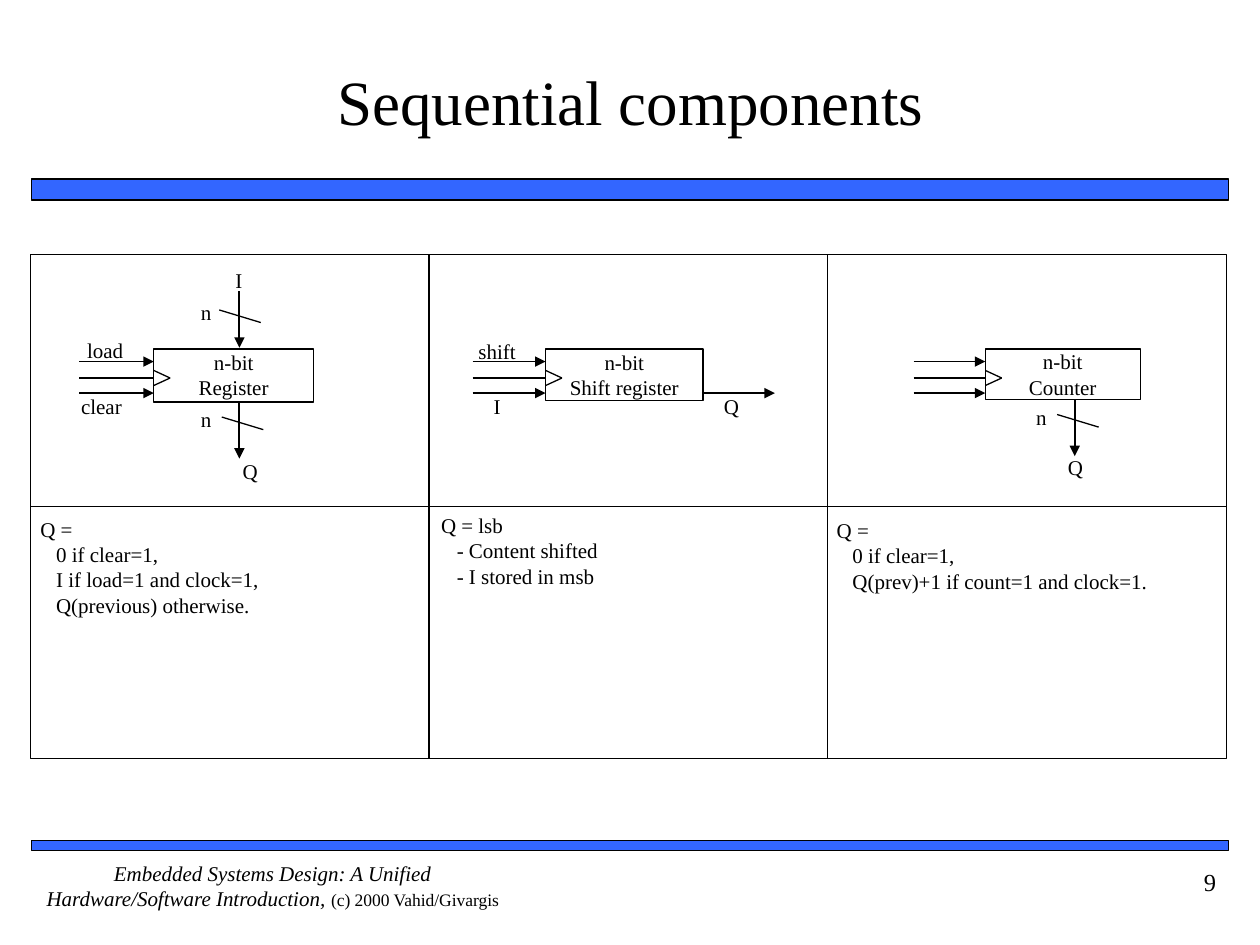
from lxml.etree import SubElement
from pptx import Presentation
from pptx.dml.color import RGBColor
from pptx.enum.shapes import MSO_CONNECTOR, MSO_SHAPE
from pptx.enum.text import MSO_ANCHOR, PP_ALIGN
from pptx.oxml.ns import qn
from pptx.util import Inches, Pt

FONT = "Times New Roman"
BLACK, WHITE, BLUE = "000000", "FFFFFF", "3366FF"

# Content
TITLE = "Sequential components"
FOOTER = [("Embedded Systems Design: A Unified Hardware/Software Introduction, ", 12, True),
          ("(c) 2000 Vahid/Givargis", 10, False)]
PAGE_NUMBER = "9"

# Behaviour of each component: left, top, heading, indented lines
BEHAVIOURS = [
    (0.32, 4.1, "Q =", ["0 if clear=1,", "I if load=1 and clock=1,", "Q(previous) otherwise."]),
    (3.5, 4.07, "Q = lsb", ["- Content shifted", "- I stored in msb"]),
    (6.64, 4.11, "Q =", ["0 if clear=1,", "Q(prev)+1 if count=1 and clock=1."]),
]

# box: left, top, width, height; buses: x, top, slash left, slash top;
# outputs: left, y, length; labels: text, left, top
COMPONENTS = [
    {"name": "Register", "box": (1.22, 2.77, 1.27, 0.42), "input_length": 0.59,
     "buses": [(1.9, 2.31, 1.74, 2.46), (1.9, 3.19, 1.76, 3.31)], "outputs": [],
     "labels": [("load", 0.64, 2.68), ("clear", 0.61, 3.12), ("I", 1.7, 2.12), ("Q", 1.79, 3.64)]},
    {"name": "Shift register", "box": (4.33, 2.77, 1.25, 0.41), "input_length": 0.58,
     "buses": [], "outputs": [(5.57, 3.12, 0.58)],
     "labels": [("shift", 3.75, 2.69), ("I", 3.75, 3.12), ("Q", 5.61, 3.12)]},
    {"name": "Counter", "box": (7.82, 2.77, 1.23, 0.4), "input_length": 0.57,
     "buses": [(8.53, 3.17, 8.39, 3.29)], "outputs": [],
     "labels": [("Q", 8.34, 3.61)]},
]

# Grid of three columns and two rows
GRID_LEFT, GRID_TOP, CELL_WIDTH, CELL_HEIGHT = 0.24, 2.02, 3.165, 2

# Wire positions below the top of a component box
LOAD_WIRE, CLOCK_WIRE, CLEAR_WIRE = 0.1, 0.23, 0.35
NOTCH_WIDTH, NOTCH_HALF = 0.13, 0.06
BUS_LENGTH = 0.45


def color(value):
    return RGBColor.from_string(value)


def add_rectangle(shapes, left, top, width, height, fill=None, line_width=0.75):
    shape = shapes.add_shape(MSO_SHAPE.RECTANGLE, Inches(left), Inches(top),
                             Inches(width), Inches(height))
    shape.shadow.inherit = False
    if fill:
        shape.fill.solid()
        shape.fill.fore_color.rgb = color(fill)
    else:
        shape.fill.background()
    shape.line.color.rgb = color(BLACK)
    shape.line.width = Pt(line_width)
    return shape


def add_line(shapes, start, end, width=0.75, arrow=False):
    x1, y1, x2, y2 = (Inches(value) for value in (*start, *end))
    connector = shapes.add_connector(MSO_CONNECTOR.STRAIGHT, x1, y1, x2, y2)
    connector.line.color.rgb = color(BLACK)
    connector.line.width = Pt(width)
    if arrow:
        SubElement(connector.line._get_or_add_ln(), qn("a:tailEnd"), type="triangle")
    SubElement(connector._element.spPr, qn("a:effectLst"))


def set_text(shape, paragraphs, align=PP_ALIGN.CENTER, anchor=MSO_ANCHOR.TOP, margins=(0, 0)):
    """Each paragraph is a list of runs: text, size, italic."""
    frame = shape.text_frame
    frame.word_wrap = True
    frame.vertical_anchor = anchor
    frame.margin_left = frame.margin_right = Inches(margins[0])
    frame.margin_top = frame.margin_bottom = Inches(margins[1])
    for index, runs in enumerate(paragraphs):
        paragraph = frame.add_paragraph() if index else frame.paragraphs[0]
        paragraph.alignment = align
        for text, size, italic in runs:
            run = paragraph.add_run()
            run.text = text
            run.font.name = FONT
            run.font.size = Pt(size)
            run.font.italic = italic
            run.font.color.rgb = color(BLACK)
    return frame


def add_text(shapes, left, top, width, height, paragraphs, **options):
    box = shapes.add_textbox(Inches(left), Inches(top), Inches(width), Inches(height))
    return set_text(box, paragraphs, **options)


def plain(*lines):
    return [[(line, 12, False)] for line in lines]


def add_component(slide, component):
    shapes = slide.shapes.add_group_shape().shapes
    left, top, width, height = component["box"]
    box = add_rectangle(shapes, left, top, width, height, WHITE)
    set_text(box, plain("n-bit", component["name"]))

    # Input wires and clock notch
    wire_left = left - component["input_length"]
    for offset in (LOAD_WIRE, CLOCK_WIRE, CLEAR_WIRE):
        add_line(shapes, (wire_left, top + offset), (left, top + offset),
                 arrow=offset != CLOCK_WIRE)
    clock = top + CLOCK_WIRE
    for side in (-NOTCH_HALF, NOTCH_HALF):
        add_line(shapes, (left, clock + side), (left + NOTCH_WIDTH, clock))

    # Buses of n bits and single outputs
    for x, bus_top, slash_left, slash_top in component["buses"]:
        add_line(shapes, (x, bus_top), (x, bus_top + BUS_LENGTH), 1.25, arrow=True)
        add_line(shapes, (slash_left, slash_top), (slash_left + 0.33, slash_top + 0.1))
        add_text(shapes, x - 0.34, slash_top - 0.08, 0.15, 0.19, plain("n"))
    for x, y, length in component["outputs"]:
        add_line(shapes, (x, y), (x + length, y), arrow=True)

    for text, label_left, label_top in component["labels"]:
        add_text(shapes, label_left, label_top, 0.39, 0.19, plain(text))


def main():
    presentation = Presentation()
    presentation.slide_width, presentation.slide_height = Inches(10), Inches(7.5)
    slide = presentation.slides.add_slide(presentation.slide_layouts[6])
    shapes = slide.shapes

    # Title, bars and footer
    add_rectangle(shapes, 0.25, 1.42, 9.5, 0.17, BLUE, 1)
    add_rectangle(shapes, 0.25, 6.67, 9.5, 0.08, BLUE, 1)
    add_text(shapes, 0.42, 0.17, 9.17, 1.25, [[(TITLE, 36, False)]],
             anchor=MSO_ANCHOR.MIDDLE, margins=(0, 0.05))
    add_text(shapes, 0.25, 6.83, 3.83, 0.5, [FOOTER])
    add_text(shapes, 8.75, 6.83, 1, 0.5, [[(PAGE_NUMBER, 14, False)]],
             align=PP_ALIGN.RIGHT, margins=(0.1, 0.05))

    # Grid cells
    for row in range(2):
        for column in range(3):
            add_rectangle(shapes, GRID_LEFT + column * CELL_WIDTH,
                          GRID_TOP + row * CELL_HEIGHT, CELL_WIDTH, CELL_HEIGHT)

    # Diagrams above, behaviour below
    for component in COMPONENTS:
        add_component(slide, component)
    for left, top, heading, lines in BEHAVIOURS:
        frame = add_text(shapes, left, top, 2.98, 1.74, plain(heading, *lines),
                         align=PP_ALIGN.LEFT)
        for paragraph in frame.paragraphs[1:]:
            paragraph._p.get_or_add_pPr().set("marL", str(Pt(9)))

    presentation.save("out.pptx")


if __name__ == "__main__":
    main()
